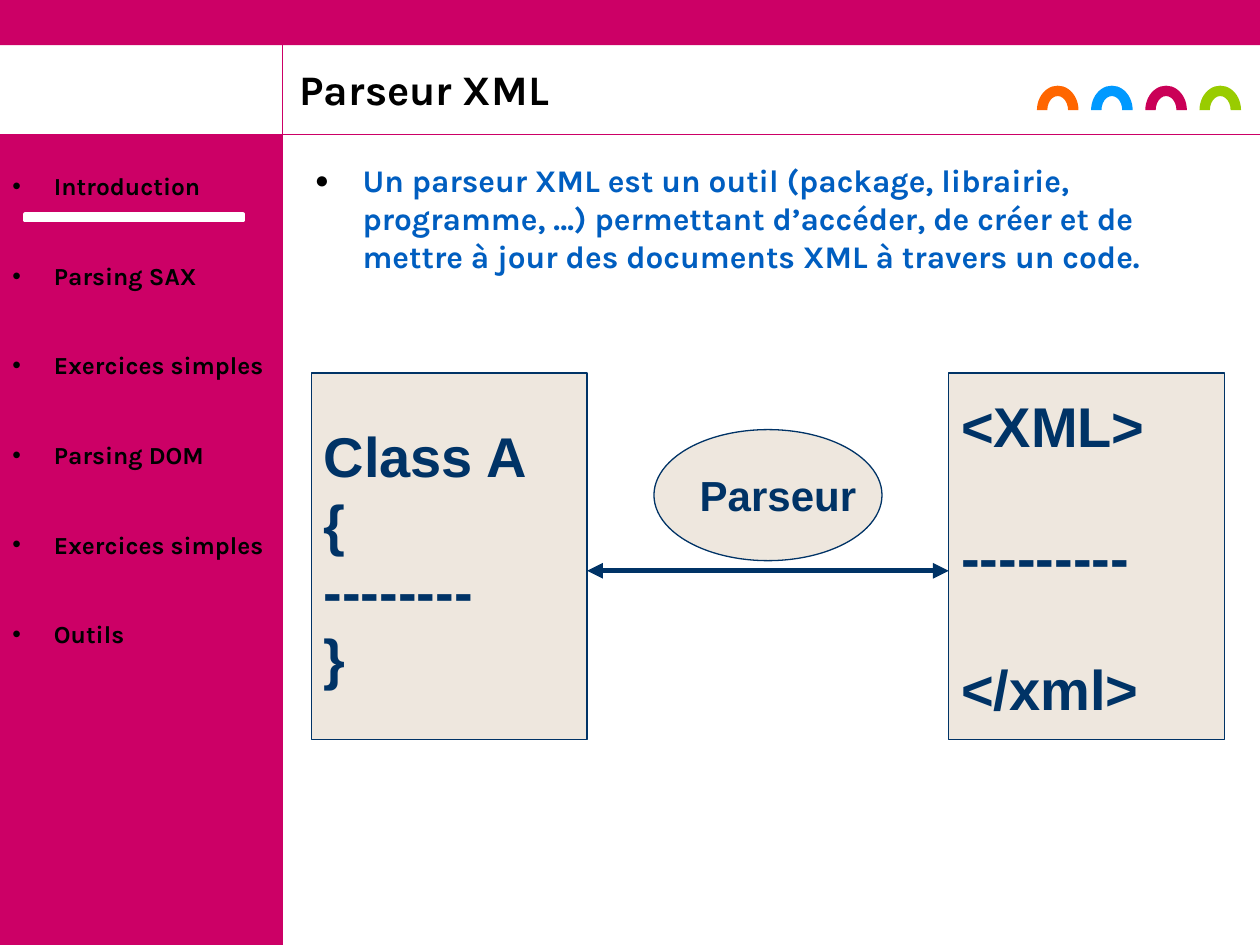
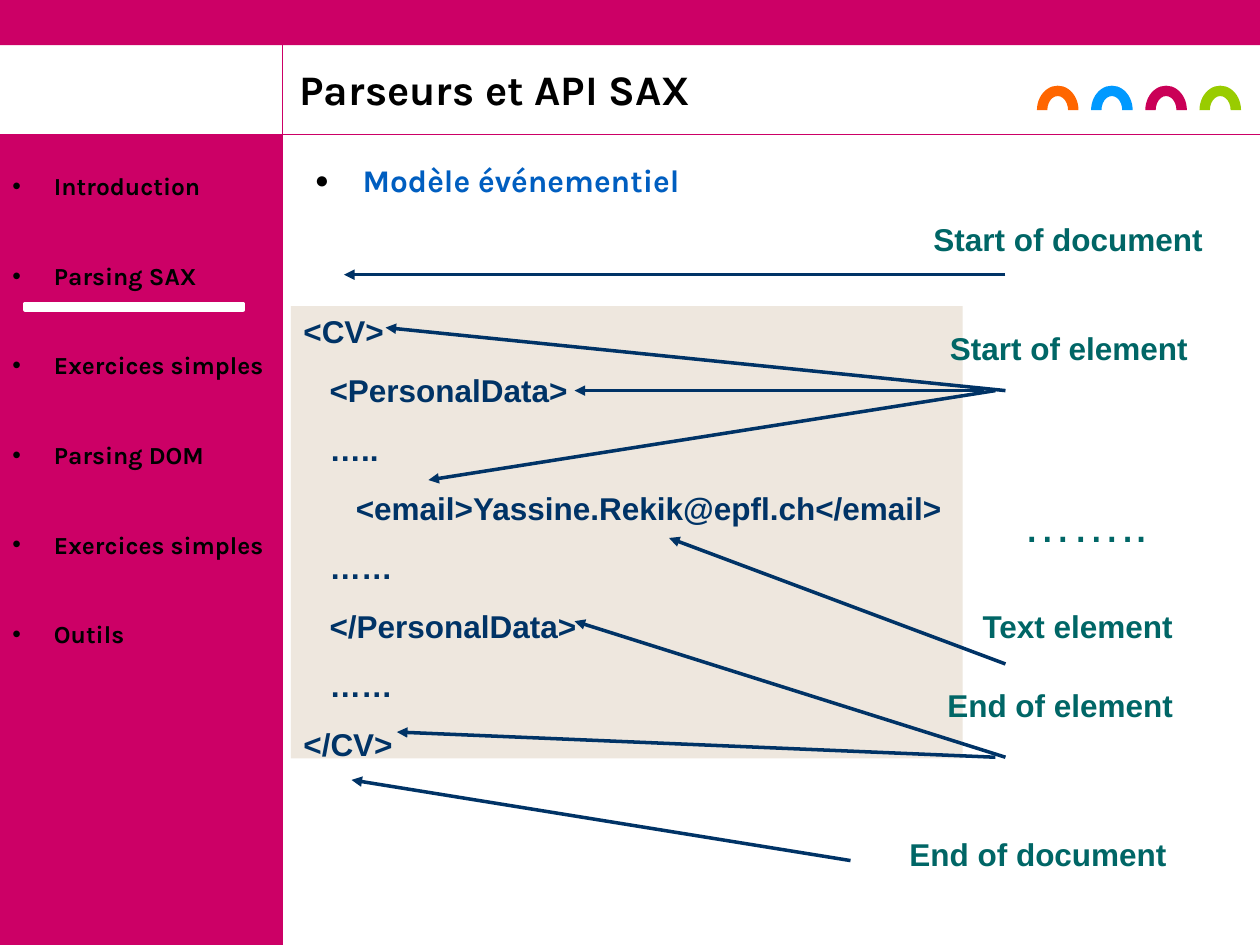
from lxml.etree import SubElement
from pptx import Presentation
from pptx.dml.color import RGBColor
from pptx.enum.shapes import MSO_CONNECTOR as LINK, MSO_SHAPE as FORM
from pptx.enum.text import MSO_ANCHOR as ANCHOR, PP_ALIGN as ALIGN
from pptx.oxml.ns import qn
from pptx.util import Pt

PX = 9144  # 100 px to the inch
rgb = RGBColor.from_string

MAGENTA, BLACK, WHITE = "CC0066", "000000", "FFFFFF"
NAVY, SAND, BLUE, TEAL = "003366", "EEE7DE", "005EC0", "006666"
ARCH_COLOURS = ["FF6600", "0099FF", "CA0057", "99CC00"]
CHAPTERS = ["Introduction", "Parsing SAX", "Exercices simples",
            "Parsing DOM", "Exercices simples", "Outils"]

TITLE = dict(size=24, name="Karla", color=BLACK, bold=True)
BODY = dict(size=18, name="Karla", color=BLUE, bold=True)
MENU = dict(size=14, name="Karla", color=BLACK, bold=True)
CODE = dict(size=18, name="Arial", color=NAVY, bold=True)
PARSER = dict(CODE, size=24)
FILE = dict(CODE, size=32)
EVENT = dict(CODE, color=TEAL)
DOTS = dict(size=28, name="Arial", color=TEAL, bold=False)


def add_part(slide, place, form=None, fill=None, line=None, weight=0.75, lines=(),
             style=None, gap=0, spacing=None, anchor=ANCHOR.TOP, wrap=True, bullet=None):
    """Add a shape, or a text box when no form is given.

    gap is the space between paragraphs in points;
    bullet is (character, indent in px, size in percent).
    """
    place = [length * PX for length in place]
    if form is None:
        part = slide.shapes.add_textbox(*place)
    else:
        part = slide.shapes.add_shape(form, *place)
        part.shadow.inherit = False
        part.fill.solid()
        part.fill.fore_color.rgb = rgb(fill)
        if line:
            part.line.color.rgb = rgb(line)
            part.line.width = Pt(weight)
        else:
            part.line.fill.background()

    frame = part.text_frame
    frame.word_wrap = wrap
    frame.vertical_anchor = anchor
    for number, text in enumerate(lines):
        paragraph = frame.paragraphs[0] if number == 0 else frame.add_paragraph()
        paragraph.alignment = ALIGN.LEFT
        if bullet:
            character, indent, percent = bullet
            props = paragraph._p.get_or_add_pPr()
            props.set("marL", str(indent * PX))
            props.set("indent", str(-indent * PX))
            colour = SubElement(props, qn("a:buClr"))
            SubElement(colour, qn("a:srgbClr"), val=BLACK)
            SubElement(props, qn("a:buSzPct"), val=str(percent * 1000))
            SubElement(props, qn("a:buFont"), typeface="Arial")
            SubElement(props, qn("a:buChar"), char=character)
        if spacing:
            paragraph.line_spacing = spacing
        if number and gap:
            paragraph.space_before = Pt(gap)
        font = paragraph.add_run().font
        paragraph.runs[0].text = text
        for key, value in style.items():
            if key == "color":
                font.color.rgb = rgb(value)
            else:
                setattr(font, key, Pt(value) if key == "size" else value)
    return part


def add_line(slide, start, end, colour=NAVY, weight=2, arrows=()):
    """Add a straight line; arrows lists headEnd (start) and tailEnd (end)."""
    link = slide.shapes.add_connector(
        LINK.STRAIGHT, *[length * PX for length in (*start, *end)])
    link.line.color.rgb = rgb(colour)
    link.line.width = Pt(weight)
    outline = link.line._get_or_add_ln()
    for arrow in arrows:
        SubElement(outline, qn("a:" + arrow), type="triangle")
    SubElement(link._element.spPr, qn("a:effectLst"))


deck = Presentation()
deck.slide_width, deck.slide_height = 1000 * PX, 750 * PX

# Shared frame: bands, rules, arches, menu, title, lead text and chapter marker
pages = [
    ("Parseur XML", 0,
     "Un parseur XML est un outil (package, librairie, programme, …) permettant "
     "d’accéder, de créer et de mettre à jour des documents XML à travers un code."),
    ("Parseurs et API SAX", 1, "Modèle événementiel"),
]
slides = []
for title, chapter, lead in pages:
    slide = deck.slides.add_slide(deck.slide_layouts[6])
    slides.append(slide)
    add_part(slide, (0, 107, 224, 643), FORM.RECTANGLE, MAGENTA)
    add_part(slide, (0, 0, 1000, 36), FORM.RECTANGLE, MAGENTA)
    add_line(slide, (0, 107), (1000, 107), MAGENTA, 0.75)
    add_line(slide, (224, 750), (224, 0), MAGENTA, 0.75)
    for number, colour in enumerate(ARCH_COLOURS):
        arch = add_part(slide, (823 + 43 * number, 68, 33, 39), FORM.BLOCK_ARC, colour)
        arch.adjustments[2] = 0.25
    add_part(slide, (0, 131, 232, 404), lines=CHAPTERS, style=MENU, gap=34.4,
             bullet=("•", 33, 100))
    add_part(slide, (228, 48, 733, 48), lines=[title], style=TITLE, spacing=0.9,
             anchor=ANCHOR.BOTTOM)
    add_part(slide, (240, 123, 740, 627), lines=[lead], style=BODY,
             bullet=("●", 38, 75))
    add_part(slide, (20, 170 + 71 * chapter, 173, 5), FORM.RECTANGLE, WHITE, WHITE, 2)

parser_slide, sax_slide = slides

# Parser between a class and an XML file
boxes = [
    ((753, 296, 219, 291), FORM.RECTANGLE, ["<XML>", "---------", "</xml>"], FILE, 36.8),
    ((247, 296, 219, 291), FORM.RECTANGLE, ["Class A", "{", "--------", "}"], FILE, 0),
    ((519, 341, 181, 104), FORM.OVAL, ["Parseur"], PARSER, 0),
]
for place, form, lines, style, gap in boxes:
    add_part(parser_slide, place, form, SAND, NAVY, lines=lines, style=style, gap=gap,
             anchor=ANCHOR.MIDDLE, wrap=False)
add_line(parser_slide, (466, 453), (753, 453), weight=3, arrows=("headEnd", "tailEnd"))

# SAX events pointing at the lines of a document
document = [
    "<CV>",
    "   <PersonalData>",
    "   …..",
    "      <email>Yassine.Rekik@epfl.ch</email>",
    "   ……",
    "   </PersonalData>",
    "   ……",
    "</CV>",
]
add_part(sax_slide, (231, 243, 533, 359), FORM.RECTANGLE, SAND, lines=document,
         style=CODE, gap=12.1)

events = [
    ("Start of document", (731, 162, 234, 47), [((798, 218), (273, 218))]),
    ("Start of element", (744, 249, 209, 47), [((798, 310), (306, 260)),
                                               ((781, 310), (456, 310)),
                                               ((790, 310), (340, 381))]),
    ("Text element", (770, 469, 173, 47), [((798, 527), (531, 427))]),
    ("End of element", (742, 532, 199, 47), [((798, 601), (456, 493)),
                                             ((790, 601), (315, 581))]),
    ("End of document", (712, 650, 224, 47), [((675, 683), (279, 619))]),
]
for event, place, arrows in events:
    add_part(sax_slide, place, lines=[event], style=EVENT, spacing=1.25, wrap=False)
    for start, end in arrows:
        add_line(sax_slide, start, end, arrows=["tailEnd"])
add_part(sax_slide, (802, 375, 119, 68), lines=["…….."], style=DOTS, spacing=1.25,
         wrap=False)

deck.save("out.pptx")
